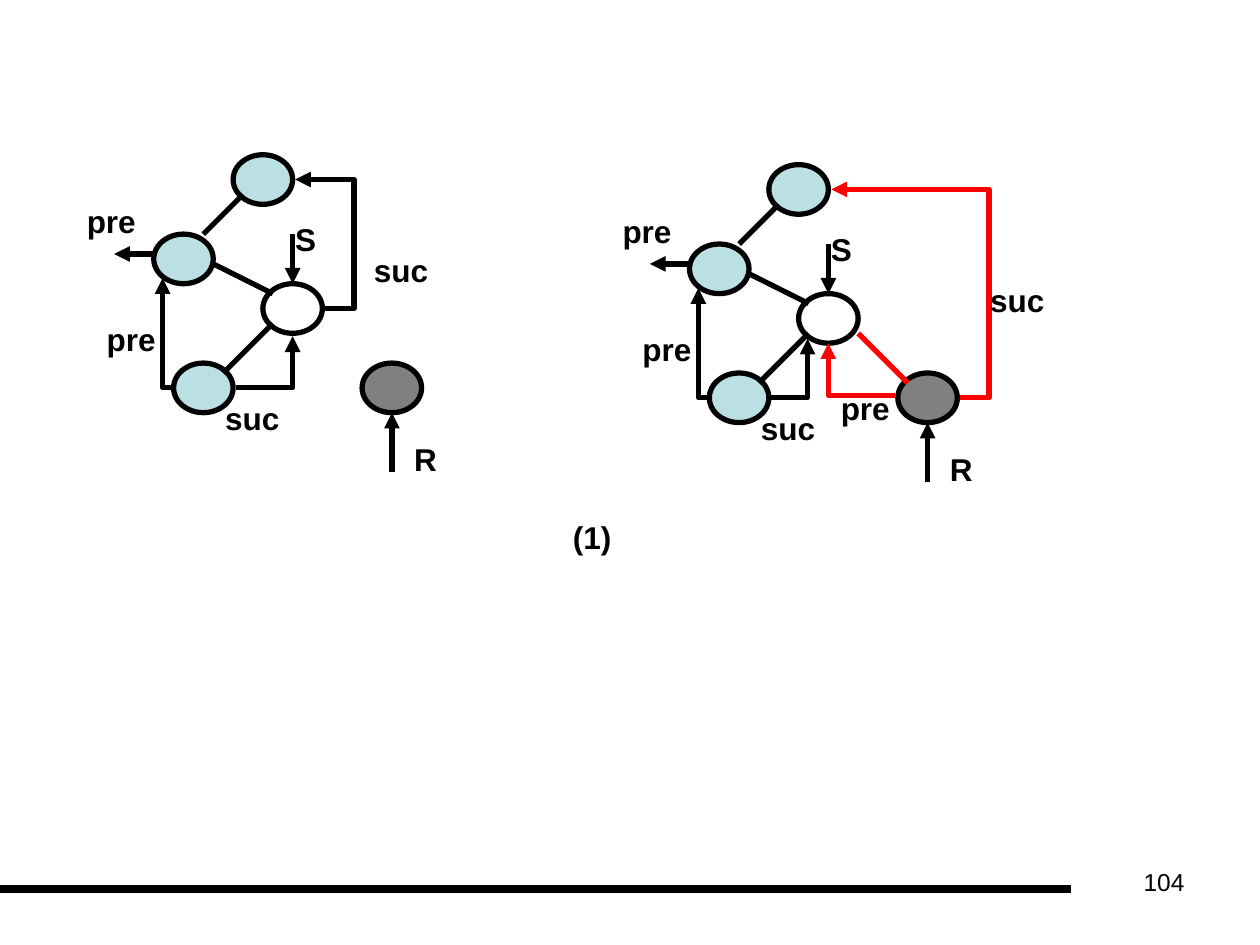
from dataclasses import dataclass
from typing import Optional

from lxml import etree
from pptx import Presentation
from pptx.dml.color import RGBColor
from pptx.enum.shapes import MSO_CONNECTOR, MSO_SHAPE
from pptx.enum.text import MSO_AUTO_SIZE, PP_ALIGN
from pptx.oxml.ns import qn
from pptx.util import Cm, Pt

STRAIGHT, ELBOW = MSO_CONNECTOR.STRAIGHT, MSO_CONNECTOR.ELBOW
OVAL = MSO_SHAPE.OVAL
LEFT, RIGHT = PP_ALIGN.LEFT, PP_ALIGN.RIGHT
FIT_SHAPE = MSO_AUTO_SIZE.SHAPE_TO_FIT_TEXT

COLORS = {"ink": "000000", "tree": "BBE0E3", "new": "808080", "change": "FF0000"}
FONT = "Arial"
NODE_WIDTH, NODE_HEIGHT = 1.2, 1.0
SHORT_LABEL, LONG_LABEL, LABEL_HEIGHT = 1.0, 2.0, 1.02


@dataclass(frozen=True)
class Node:
    x: float
    y: float
    fill: Optional[str] = "tree"


@dataclass(frozen=True)
class Link:
    x1: float
    y1: float
    x2: float
    y2: float
    color: str = "ink"
    arrow: bool = False
    bent: bool = False
    turn_x: Optional[float] = None
    weight: float = 3


@dataclass(frozen=True)
class Label:
    text: str
    x: float
    y: float
    width: float = LONG_LABEL
    size: float = 18
    bold: bool = True
    align: PP_ALIGN = LEFT


NODES = [
    Node(4.7, 3.12),
    Node(3.1, 4.72),
    Node(5.3, 5.72, None),
    Node(3.5, 7.32),
    Node(7.3, 7.32, "new"),
]
SHARED_LINKS = [
    Link(4.9, 3.92, 4.1, 4.72),
    Link(4.3, 5.32, 5.5, 5.92),
    Link(5.5, 6.52, 4.5, 7.52),
    Link(5.9, 4.72, 5.9, 5.72, arrow=True),
    Link(3.1, 5.12, 2.3, 5.12, arrow=True),
    Link(7.9, 9.52, 7.9, 8.32, arrow=True),
    Link(3.45, 7.82, 3.28, 5.61, arrow=True, bent=True),
]
SHARED_LABELS = [
    Label("S", 5.7, 4.32, SHORT_LABEL),
    Label("R", 8.1, 8.74, SHORT_LABEL),
    Label("suc", 4.29, 7.92),
    Label("pre", 1.5, 3.94),
    Label("pre", 1.9, 6.32),
]
BEFORE_LINKS = [
    Link(4.76, 7.82, 5.9, 6.78, arrow=True, bent=True),
    Link(6.56, 6.22, 5.95, 3.62, arrow=True, bent=True, turn_x=7.14),
]
BEFORE_LABELS = [Label("suc", 7.29, 4.93)]
AFTER_LINKS = [
    Link(4.74, 7.82, 5.48, 6.63, arrow=True, bent=True),
    Link(8.56, 7.82, 5.96, 3.62, "change", arrow=True, bent=True, turn_x=9.14),
    Link(6.5, 6.52, 7.5, 7.52, "change"),
    Link(7.24, 7.78, 5.9, 6.72, "change", arrow=True, bent=True),
]
AFTER_LABELS = [Label("suc", 8.91, 5.34), Label("pre", 5.9, 7.52)]


def rgb(name: str) -> RGBColor:
    return RGBColor.from_string(COLORS[name])


def draw_node(slide, node: Node, dx: float, dy: float) -> None:
    oval = slide.shapes.add_shape(
        OVAL, Cm(node.x + dx), Cm(node.y + dy), Cm(NODE_WIDTH), Cm(NODE_HEIGHT)
    )
    oval.shadow.inherit = False
    if node.fill:
        oval.fill.solid()
        oval.fill.fore_color.rgb = rgb(node.fill)
    else:
        oval.fill.background()
    oval.line.color.rgb = rgb("ink")
    oval.line.width = Pt(3)


def draw_link(slide, link: Link, dx: float = 0, dy: float = 0) -> None:
    connector = slide.shapes.add_connector(
        ELBOW if link.bent else STRAIGHT,
        Cm(link.x1 + dx), Cm(link.y1 + dy), Cm(link.x2 + dx), Cm(link.y2 + dy),
    )
    connector.line.color.rgb = rgb(link.color)
    connector.line.width = Pt(link.weight)
    properties = connector.element.spPr
    if link.arrow:
        etree.SubElement(properties.find(qn("a:ln")), qn("a:tailEnd"), type="triangle")
    etree.SubElement(properties, qn("a:effectLst"))
    geometry = properties.find(qn("a:prstGeom"))
    if link.turn_x is not None:
        turn = round((link.turn_x - link.x1) / (link.x2 - link.x1) * 100000)
        adjustments = geometry.find(qn("a:avLst"))
        etree.SubElement(adjustments, qn("a:gd"), name="adj1", fmla=f"val {turn}")
    elif link.bent:
        geometry.set("prst", "bentConnector2")


def draw_label(slide, label: Label, dx: float = 0, dy: float = 0) -> None:
    box = slide.shapes.add_textbox(
        Cm(label.x + dx), Cm(label.y + dy), Cm(label.width), Cm(LABEL_HEIGHT)
    )
    frame = box.text_frame
    frame.word_wrap = True
    frame.auto_size = FIT_SHAPE
    paragraph = frame.paragraphs[0]
    paragraph.text = label.text
    paragraph.alignment = label.align
    paragraph.font.name = FONT
    paragraph.font.size = Pt(label.size)
    paragraph.font.bold = label.bold
    paragraph.font.color.rgb = rgb("ink")


def draw_tree(
    slide, links: list[Link], labels: list[Label], dx: float = 0, dy: float = 0
) -> None:
    for node in NODES:
        draw_node(slide, node, dx, dy)
    for link in SHARED_LINKS + links:
        draw_link(slide, link, dx, dy)
    for label in SHARED_LABELS + labels:
        draw_label(slide, label, dx, dy)


def main() -> None:
    presentation = Presentation()
    presentation.slide_width, presentation.slide_height = Cm(25.4), Cm(19.05)
    slide = presentation.slides.add_slide(presentation.slide_layouts[6])
    draw_link(slide, Link(0, 17.93, 21.6, 17.93, weight=4.5))
    draw_label(slide, Label("104", 18.2, 17.35, 5.93, 14, False, RIGHT))
    draw_tree(slide, BEFORE_LINKS, BEFORE_LABELS)
    draw_tree(slide, AFTER_LINKS, AFTER_LABELS, 10.8, 0.2)
    draw_label(slide, Label("(1)", 11.3, 10.32, 2.4))
    presentation.save("out.pptx")


if __name__ == "__main__":
    main()
